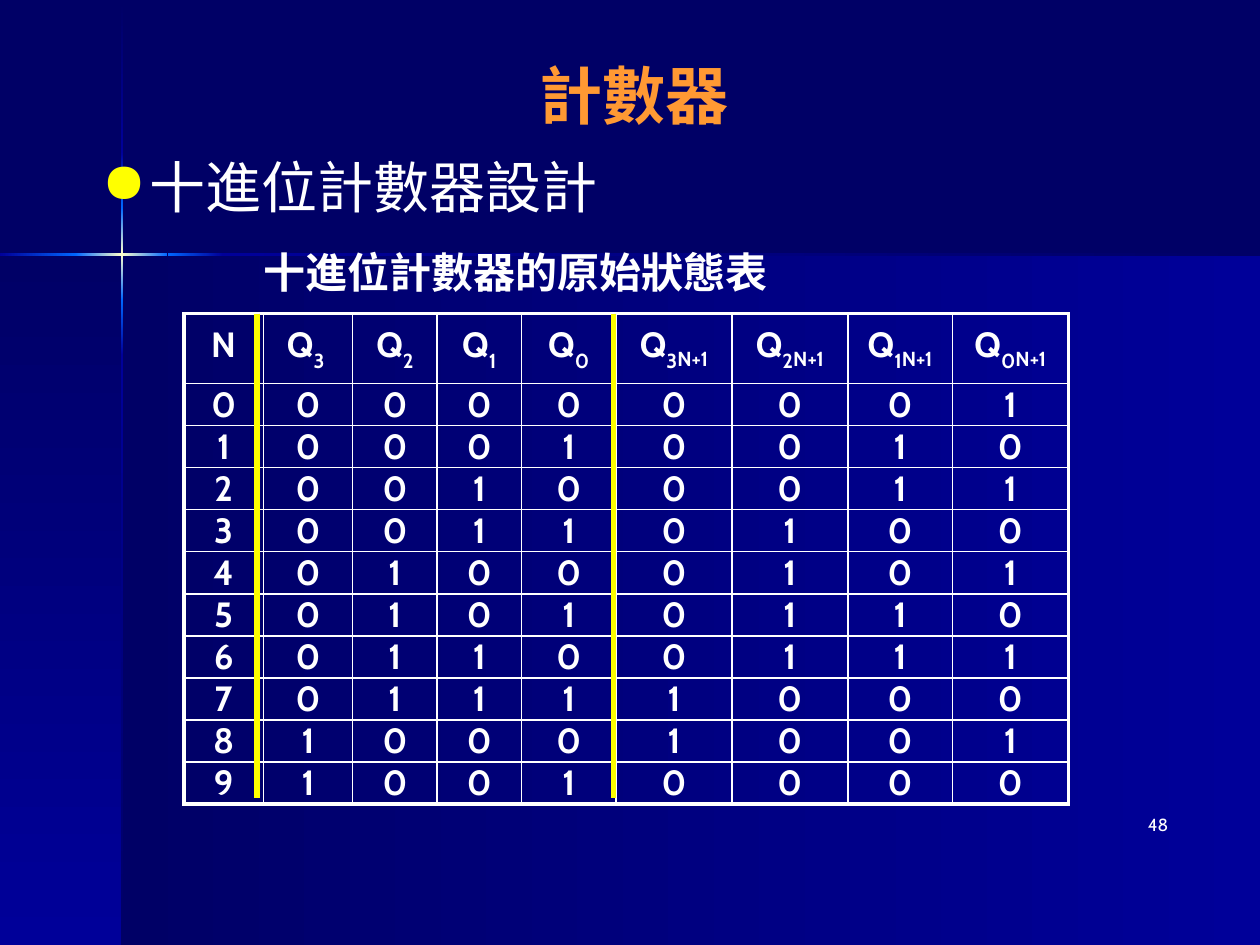
"""Build the decade counter slide with its original state table."""
from typing import NamedTuple

from lxml.etree import SubElement
from pptx import Presentation
from pptx.dml.color import RGBColor
from pptx.enum.shapes import MSO_CONNECTOR, MSO_SHAPE
from pptx.enum.text import MSO_ANCHOR, PP_ALIGN
from pptx.oxml.ns import qn
from pptx.slide import Slide
from pptx.table import _Cell
from pptx.text.text import _Paragraph, _Run
from pptx.util import Inches, Pt

NAVY = RGBColor(0x00, 0x00, 0x66)
BLUE = RGBColor(0x00, 0x00, 0x99)
BRIGHT_BLUE = RGBColor(0x00, 0x66, 0xFF)
CREAM = RGBColor(0xFF, 0xFF, 0xCC)
ORANGE = RGBColor(0xFF, 0x99, 0x33)
YELLOW = RGBColor(0xFF, 0xFF, 0x00)
WHITE = RGBColor(0xFF, 0xFF, 0xFF)

HORIZONTAL, VERTICAL = 0, 90
THIN, THICK = 1, 2.25
STATES, BITS = 10, 4
COLUMN_WIDTHS = [0.63, 0.71, 0.67, 0.67, 0.75, 0.92, 0.92, 0.83, 0.92]
ROW_HEIGHTS = [0.29, 0.3, 0.25, 0.25, 0.25, 0.25, 0.33, 0.25, 0.25, 0.25, 0.25]
TABLE_LEFT, TABLE_TOP = 1.46, 2.49


class Box(NamedTuple):
    left: float
    top: float
    width: float
    height: float

    def lengths(self) -> list[int]:
        return [Inches(value) for value in self]


class Band(NamedTuple):
    box: Box
    colors: list[RGBColor]
    angle: int


class TextStyle(NamedTuple):
    size: float
    color: RGBColor = WHITE
    bold: bool = False
    font: str = "Cabin"


class Label(NamedTuple):
    box: Box
    text: str
    style: TextStyle
    alignment: PP_ALIGN


GLOW = [BRIGHT_BLUE, CREAM, BRIGHT_BLUE]
BANDS = [
    Band(Box(0.97, 2.02, 9.03, 5.48), [NAVY, BLUE], HORIZONTAL),
    Band(Box(0, 2.02, 0.97, 5.48), [NAVY, BLUE], VERTICAL),
    Band(Box(0.96, 0.01, 0.02, 1.21), [NAVY, BLUE], VERTICAL),
    Band(Box(0.96, 2.82, 0.02, 4.68), [BLUE, NAVY], VERTICAL),
    Band(Box(1.77, 2.01, 8.23, 0.02), [BLUE, NAVY], HORIZONTAL),
    Band(Box(0.96, 2.38, 0.02, 0.44), [BRIGHT_BLUE, BLUE], VERTICAL),
    Band(Box(0.96, 1.21, 0.02, 0.44), [BLUE, BRIGHT_BLUE], VERTICAL),
    Band(Box(0.96, 1.65, 0.02, 0.73), GLOW, VERTICAL),
    Band(Box(0, 2.01, 0.61, 0.02), [BLUE, BRIGHT_BLUE], HORIZONTAL),
    Band(Box(1.33, 2.01, 0.44, 0.02), [BRIGHT_BLUE, BLUE], HORIZONTAL),
    Band(Box(0.6, 2.01, 0.73, 0.02), GLOW, HORIZONTAL),
]
TOPIC = Label(Box(0.71, 1.16, 8.67, 4.63), "十進位計數器設計", TextStyle(32), PP_ALIGN.LEFT)
PAGE_NUMBER = Label(Box(7.29, 6.41, 2.08, 0.5), "48", TextStyle(10), PP_ALIGN.RIGHT)
CAPTION = Label(Box(1.71, 1.91, 4.76, 0.5), "十進位計數器的原始狀態表",
                TextStyle(24, bold=True, font="Cambria"), PP_ALIGN.CENTER)
CELL_STYLE = TextStyle(20, bold=True)


def format_run(run: _Run, style: TextStyle) -> None:
    run.font.name = style.font
    run.font.size = Pt(style.size)
    run.font.bold = style.bold
    run.font.color.rgb = style.color


def draw_band(slide: Slide, band: Band) -> None:
    shape = slide.shapes.add_shape(MSO_SHAPE.RECTANGLE, *band.box.lengths())
    shape.shadow.inherit = False
    shape.line.fill.background()
    shape.fill.gradient()
    gradient = shape._element.spPr.find(qn("a:gradFill"))
    stops = gradient.find(qn("a:gsLst"))
    for stop in list(stops):
        stops.remove(stop)
    for index, color in enumerate(band.colors):
        position = index * 100000 // (len(band.colors) - 1)
        stop = SubElement(stops, qn("a:gs"), pos=str(position))
        SubElement(stop, qn("a:srgbClr"), val=str(color))
    gradient.find(qn("a:lin")).set("ang", str(band.angle * 60000))


def draw_title(slide: Slide) -> None:
    title = slide.shapes.title
    title.left, title.top, title.width, title.height = Box(0.5, 0.33, 9.17, 0.83).lengths()
    title.text_frame.text = "計數器 "
    title.text_frame.vertical_anchor = MSO_ANCHOR.MIDDLE
    paragraph = title.text_frame.paragraphs[0]
    paragraph.alignment = PP_ALIGN.CENTER
    format_run(paragraph.runs[0], TextStyle(36, ORANGE, True))
    slide.shapes._spTree.append(title._element)


def draw_label(slide: Slide, label: Label) -> _Paragraph:
    text_frame = slide.shapes.add_textbox(*label.box.lengths()).text_frame
    text_frame.word_wrap = True
    text_frame.text = label.text
    paragraph = text_frame.paragraphs[0]
    paragraph.alignment = label.alignment
    format_run(paragraph.runs[0], label.style)
    return paragraph


def add_bullet(paragraph: _Paragraph) -> None:
    properties = paragraph._p.get_or_add_pPr()
    properties.set("marL", str(Inches(0.38)))
    properties.set("indent", str(Inches(-0.38)))
    color = SubElement(properties, qn("a:buClr"))
    SubElement(color, qn("a:srgbClr"), val=str(YELLOW))
    SubElement(properties, qn("a:buChar"), char="●")


def set_borders(cell: _Cell, outer_sides: dict[str, bool]) -> None:
    properties = cell._tc.get_or_add_tcPr()
    for side, is_outer in outer_sides.items():
        width = Pt(THICK if is_outer else THIN)
        line = SubElement(properties, qn(f"a:ln{side}"), w=str(width))
        fill = SubElement(line, qn("a:solidFill"))
        SubElement(fill, qn("a:srgbClr"), val=str(WHITE))


def fill_cell(cell: _Cell, parts: list[str], padding: float) -> None:
    cell.margin_left = cell.margin_right = 0
    cell.margin_top = cell.margin_bottom = Inches(padding)
    cell.fill.background()
    paragraph = cell.text_frame.paragraphs[0]
    paragraph.alignment = PP_ALIGN.CENTER
    for part, baseline in zip(parts, (0, -30000, -25000)):
        run = paragraph.add_run()
        run.text = part
        format_run(run, CELL_STYLE)
        if baseline:
            run.font._element.set("baseline", str(baseline))


def state_rows() -> list[list[list[str]]]:
    header = [["N"], ["Q", "3 "], ["Q", "2"], ["Q", "1"], ["Q", "0"]]
    header += [["Q", str(bit), "N+1"] for bit in reversed(range(BITS))]
    rows = [header]
    for state in range(STATES):
        following = (state + 1) % STATES
        rows.append([[digit] for digit in f"{state}{state:04b}{following:04b}"])
    return rows


def draw_state_table(slide: Slide) -> None:
    rows = state_rows()
    box = Box(TABLE_LEFT, TABLE_TOP, sum(COLUMN_WIDTHS), sum(ROW_HEIGHTS))
    table = slide.shapes.add_table(len(rows), len(COLUMN_WIDTHS), *box.lengths()).table
    table.first_row = table.horz_banding = False
    for column, width in zip(table.columns, COLUMN_WIDTHS):
        column.width = Inches(width)
    for row, height in zip(table.rows, ROW_HEIGHTS):
        row.height = Inches(height)
    for row_index, row in enumerate(rows):
        for column_index, parts in enumerate(row):
            cell = table.cell(row_index, column_index)
            set_borders(cell, {"L": column_index == 0, "R": column_index == len(row) - 1,
                               "T": row_index == 0, "B": row_index == len(rows) - 1})
            fill_cell(cell, parts, 0.08 if row_index == 0 else 0)


def draw_divider(slide: Slide, left: float) -> None:
    line = slide.shapes.add_connector(MSO_CONNECTOR.STRAIGHT, Inches(left), Inches(TABLE_TOP),
                                      Inches(left), Inches(6.33))
    line.line.color.rgb = YELLOW
    line.line.width = Pt(3)
    SubElement(line._element.spPr, qn("a:effectLst"))


def main() -> None:
    presentation = Presentation()
    presentation.slide_width, presentation.slide_height = Inches(10), Inches(7.5)
    slide = presentation.slides.add_slide(presentation.slide_layouts[5])
    slide.background.fill.solid()
    slide.background.fill.fore_color.rgb = NAVY
    for band in BANDS:
        draw_band(slide, band)
    draw_title(slide)
    add_bullet(draw_label(slide, TOPIC))
    draw_label(slide, PAGE_NUMBER)
    draw_state_table(slide)
    for left in (2.04, 4.87):
        draw_divider(slide, left)
    draw_label(slide, CAPTION)
    presentation.save("out.pptx")


if __name__ == "__main__":
    main()
